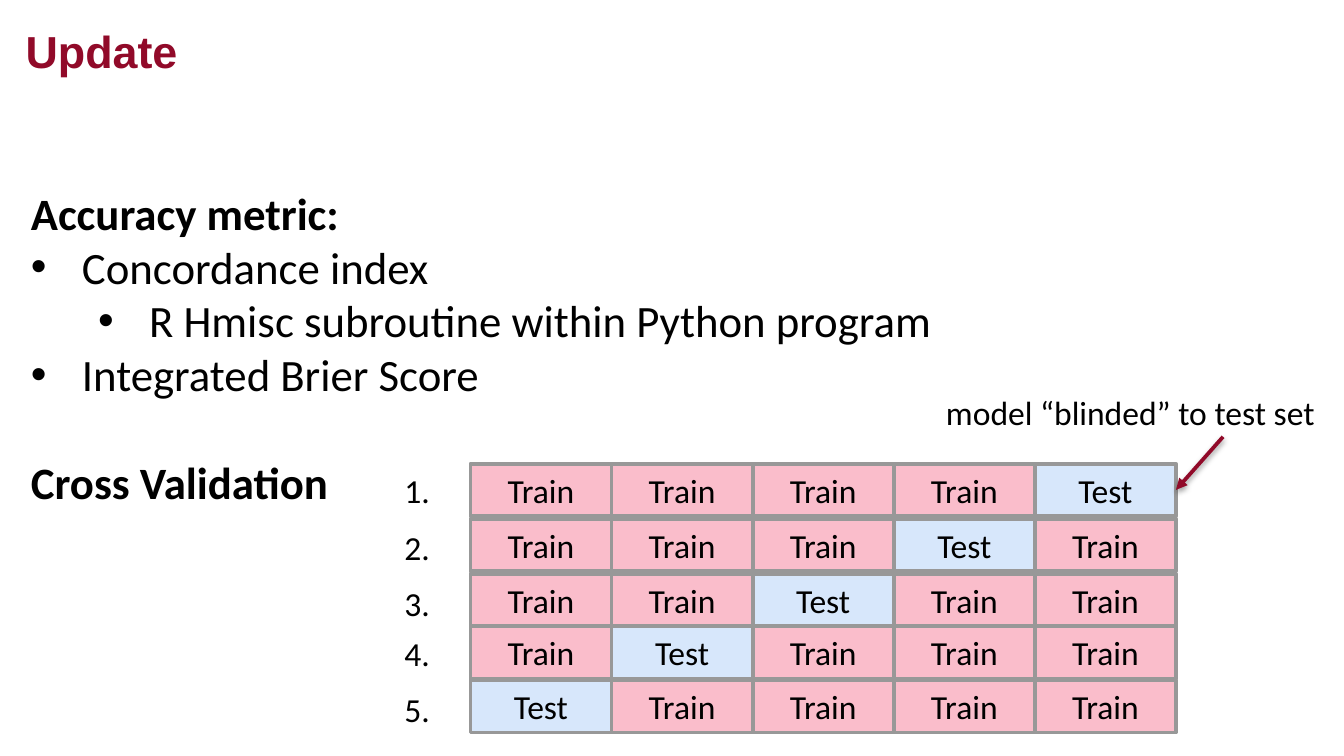
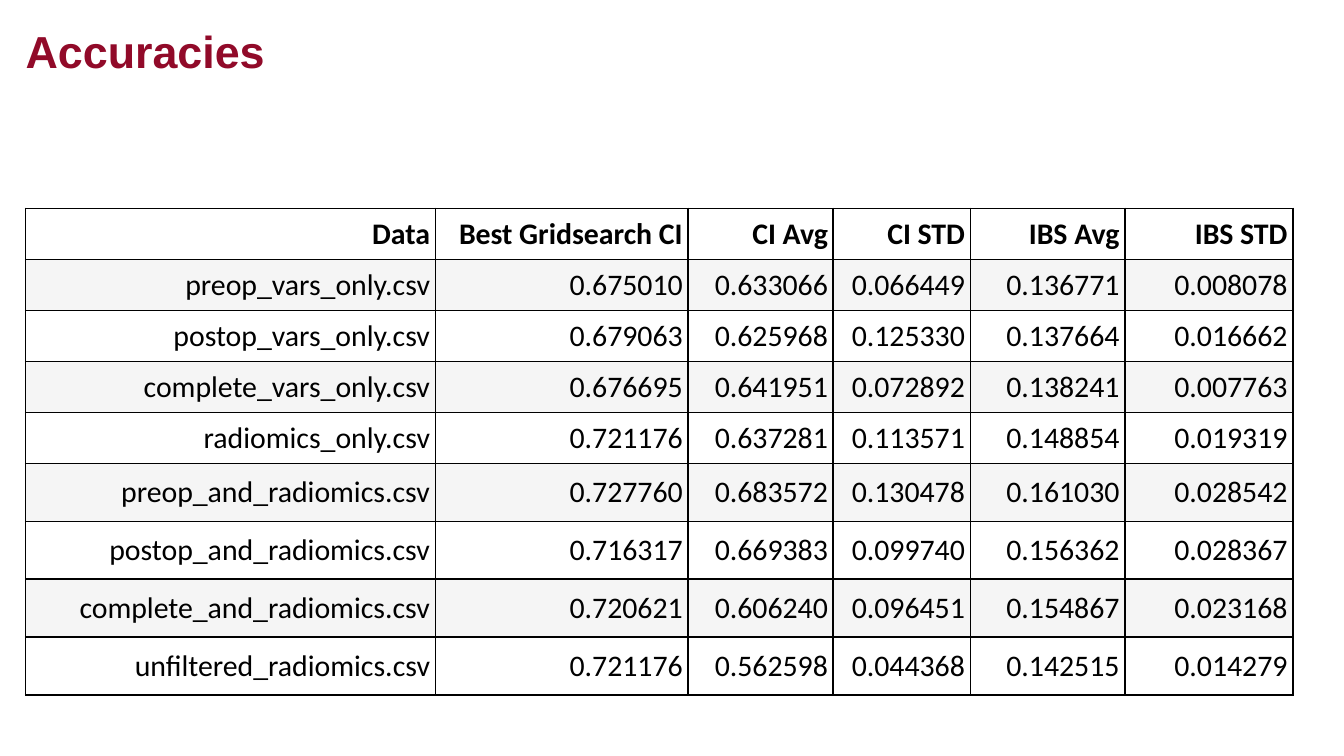
from lxml.etree import SubElement
from pptx import Presentation
from pptx.dml.color import RGBColor
from pptx.enum.shapes import MSO_CONNECTOR, MSO_SHAPE
from pptx.enum.text import MSO_ANCHOR, MSO_AUTO_SIZE, PP_ALIGN
from pptx.oxml import parse_xml
from pptx.oxml.ns import nsdecls, qn
from pptx.util import Inches, Pt

MAROON = RGBColor(0x91, 0x0A, 0x29)
BLACK = RGBColor(0, 0, 0)
WHITE = RGBColor(0xFF, 0xFF, 0xFF)
PALE = RGBColor(0xF5, 0xF5, 0xF5)
PINK = RGBColor(0xFA, 0xBD, 0xCB)
BLUE = RGBColor(0xD7, 0xE7, 0xFB)
GREY = RGBColor(0x98, 0x98, 0x98)

POINTS = [
    ("Accuracy metric:", None),
    ("Concordance index", 0),
    ("R Hmisc subroutine within Python program", 1),
    ("Integrated Brier Score", 0),
    ("Cross Validation", None),
]
FOLDS = 5
CELL_TOPS = [0, 0.41, 0.82, 1.21, 1.61]
MARK_TOPS = [0, 0.42, 0.84, 1.21, 1.63]

WIDTHS = [3.05, 1.88, 1.08, 1.02, 1.15, 1.25]
HEIGHTS = [0.38] * 5 + [0.43] * 4
SCORES = [
    ("Data", "Best Gridsearch CI", "CI Avg", "CI STD", "IBS Avg", "IBS STD"),
    ("preop_vars_only.csv", "0.675010", "0.633066", "0.066449", "0.136771", "0.008078"),
    ("postop_vars_only.csv", "0.679063", "0.625968", "0.125330", "0.137664", "0.016662"),
    ("complete_vars_only.csv", "0.676695", "0.641951", "0.072892", "0.138241", "0.007763"),
    ("radiomics_only.csv", "0.721176", "0.637281", "0.113571", "0.148854", "0.019319"),
    ("preop_and_radiomics.csv", "0.727760", "0.683572", "0.130478", "0.161030", "0.028542"),
    ("postop_and_radiomics.csv", "0.716317", "0.669383", "0.099740", "0.156362", "0.028367"),
    ("complete_and_radiomics.csv", "0.720621", "0.606240", "0.096451", "0.154867", "0.023168"),
    ("unfiltered_radiomics.csv", "0.721176", "0.562598", "0.044368", "0.142515", "0.014279"),
]


def style(para, size, bold=False, color=BLACK, face="Calibri", align=PP_ALIGN.LEFT):
    para.alignment = align
    for run in para.runs:
        font = run.font
        font.name, font.size, font.bold = face, Pt(size), bold
        font.color.rgb = color


def place(shape, left, top, width, height):
    shape.left, shape.top = Inches(left), Inches(top)
    shape.width, shape.height = Inches(width), Inches(height)


def add_title(slide, text):
    title = slide.shapes.title
    place(title, 0.19, 0, 6.7, 0.77)
    frame = title.text_frame
    frame.text = text
    frame.auto_size = MSO_AUTO_SIZE.NONE
    frame.vertical_anchor = MSO_ANCHOR.MIDDLE
    frame.margin_left = frame.margin_bottom = 0
    frame.margin_top, frame.margin_right = Inches(0.05), Inches(0.1)
    para = frame.paragraphs[0]
    para.line_spacing = Pt(24)
    style(para, 24, True, MAROON, "Arial")


def set_bullet(para, level):
    props = para._p.get_or_add_pPr()
    if level is None:
        props.set("marL", "0")
        props.set("indent", "0")
        SubElement(props, qn("a:buNone"))
        return
    para.level = level
    props.set("marL", str(Inches(0.38 + 0.5 * level)))
    props.set("indent", str(-Inches(0.38)))
    SubElement(props, qn("a:buFont")).set("typeface", "Arial")
    SubElement(props, qn("a:buChar")).set("char", "•")


def add_points(slide, left, top, width, height):
    body = slide.placeholders[1]
    place(body, left, top, width, height)
    frame = body.text_frame
    frame.text = "\n".join(text for text, level in POINTS)
    frame.auto_size = MSO_AUTO_SIZE.NONE
    for para, (text, level) in zip(frame.paragraphs, POINTS):
        set_bullet(para, level)
        para.space_before = Pt(0)
        style(para, 24, level is None)
    frame.paragraphs[-1].space_before = Pt(29)


def add_label(slide, text, left, top, width, wrap):
    box = slide.shapes.add_textbox(*map(Inches, (left, top, width, 0.4)))
    frame = box.text_frame
    frame.text = text
    frame.word_wrap = wrap
    style(frame.paragraphs[0], 18)


def add_cell(slide, test, left, top, width, height):
    cell = slide.shapes.add_shape(
        MSO_SHAPE.RECTANGLE, *map(Inches, (left, top, width, height)))
    cell.shadow.inherit = False
    cell.fill.solid()
    cell.fill.fore_color.rgb = BLUE if test else PINK
    cell.line.color.rgb = GREY
    cell.line.width = Pt(2)
    frame = cell.text_frame
    frame.text = "Test" if test else "Train"
    frame.vertical_anchor = MSO_ANCHOR.MIDDLE
    style(frame.paragraphs[0], 18, align=PP_ALIGN.CENTER)
    return cell


def add_folds(slide, left, top, width, height):
    step = width / FOLDS
    tests = []
    for row, drop in enumerate(CELL_TOPS):
        for col in range(FOLDS):
            test = col == FOLDS - 1 - row
            cell = add_cell(slide, test, left + col * step, top + drop, step, height)
            if test:
                tests.append(cell)
    for row, drop in enumerate(MARK_TOPS):
        add_label(slide, f"{row + 1}.", left - 0.59, top + drop, 0.39, False)
    return tests[0]


def add_arrow(slide, left, top, cell):
    start = Inches(left), Inches(top)
    arrow = slide.shapes.add_connector(MSO_CONNECTOR.STRAIGHT, *start, *start)
    arrow.end_connect(cell, 3)
    arrow.line.color.rgb = MAROON
    arrow.line.width = Pt(2)
    SubElement(arrow.line._get_or_add_ln(), qn("a:tailEnd")).set("type", "triangle")
    arrow._element.spPr.append(parse_xml(
        f'<a:effectLst {nsdecls("a")}>'
        f'<a:outerShdw blurRad="{Pt(3.1)}" dist="{Pt(1.6)}" dir="5400000" rotWithShape="0">'
        '<a:srgbClr val="000000"><a:alpha val="38000"/></a:srgbClr>'
        '</a:outerShdw></a:effectLst>'))


def add_edges(cell):
    props = cell._tc.get_or_add_tcPr()
    for side in "LRTB":
        props.append(parse_xml(
            f'<a:ln{side} {nsdecls("a")} w="{Pt(1)}"><a:solidFill>'
            f'<a:srgbClr val="{BLACK}"/></a:solidFill></a:ln{side}>'))


def add_scores(slide, left, top):
    box = map(Inches, (left, top, sum(WIDTHS), sum(HEIGHTS)))
    table = slide.shapes.add_table(len(SCORES), len(WIDTHS), *box).table
    table.first_row = table.horz_banding = False
    for col, width in zip(table.columns, WIDTHS):
        col.width = Inches(width)
    for row, height in zip(table.rows, HEIGHTS):
        row.height = Inches(height)
    for r, texts in enumerate(SCORES):
        for c, text in enumerate(texts):
            cell = table.cell(r, c)
            cell.text = text
            cell.vertical_anchor = MSO_ANCHOR.MIDDLE
            cell.margin_left = cell.margin_right = Inches(0.04)
            cell.margin_top = cell.margin_bottom = Inches(0.02)
            add_edges(cell)
            cell.fill.solid()
            cell.fill.fore_color.rgb = PALE if r % 2 else WHITE
            style(cell.text_frame.paragraphs[0], 16, r == 0, align=PP_ALIGN.RIGHT)


def build_update(deck):
    slide = deck.slides.add_slide(deck.slide_layouts[1])
    add_title(slide, "Update")
    add_points(slide, 0.13, 1.33, 6.96, 2.52)
    cell = add_folds(slide, 3.5, 3.45, 5.25, 0.39)
    add_label(slide, "model “blinded” to test set", 6.94, 2.87, 2.98, True)
    add_arrow(slide, 9.1, 3.25, cell)


def build_scores(deck):
    slide = deck.slides.add_slide(deck.slide_layouts[5])
    add_title(slide, "Accuracies")
    add_scores(slide, 0.19, 1.55)


def main():
    deck = Presentation()
    deck.slide_width = Inches(10)
    deck.slide_height = deck.slide_width * 9 // 16
    build_update(deck)
    build_scores(deck)
    deck.save("out.pptx")


if __name__ == "__main__":
    main()
